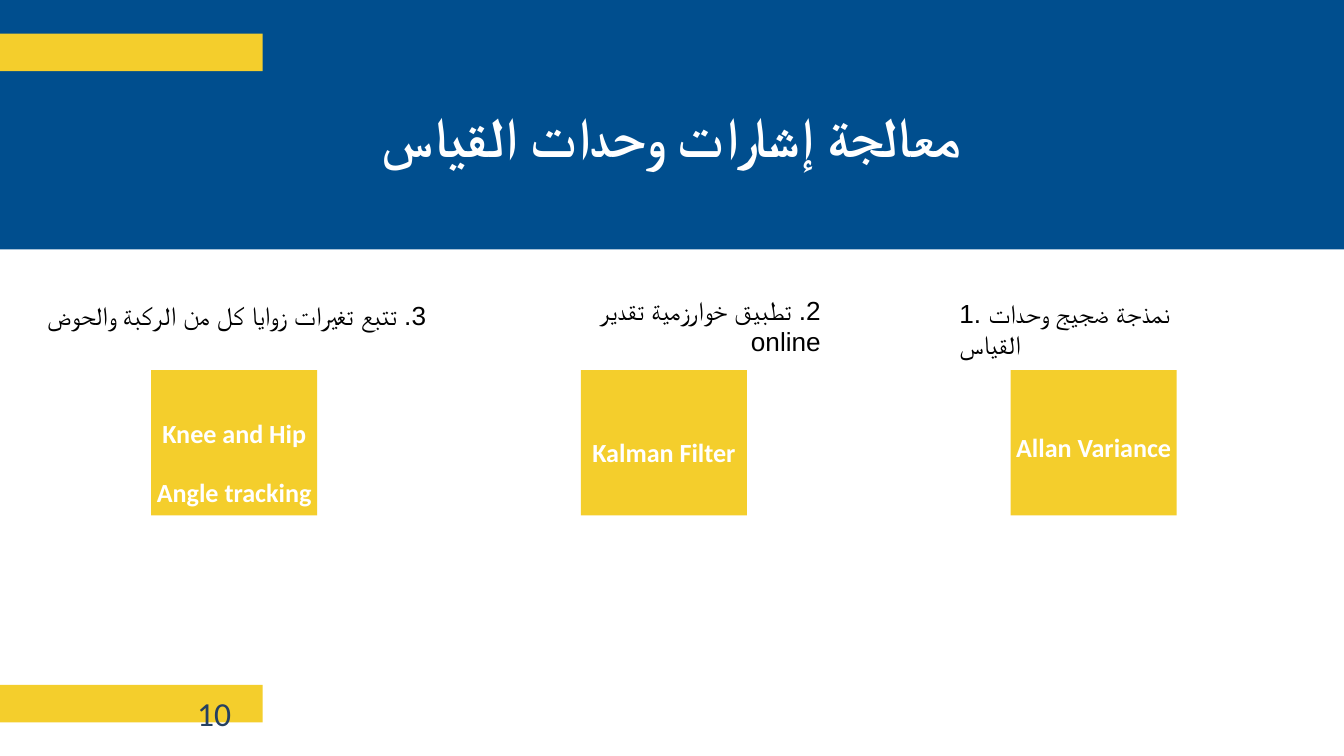
import pptx
import pptx.dml.color
import pptx.enum.shapes
import pptx.enum.text
import pptx.oxml
import pptx.oxml.ns
import pptx.util

Inches = pptx.util.Inches
Align = pptx.enum.text.PP_ALIGN
Anchor = pptx.enum.text.MSO_ANCHOR
RGBColor = pptx.dml.color.RGBColor
BLUE = RGBColor(0x00, 0x4E, 0x8E)
YELLOW = RGBColor(0xF4, 0xCE, 0x2C)
WHITE = RGBColor(0xFF, 0xFF, 0xFF)
BLACK = RGBColor(0x00, 0x00, 0x00)
NAVY = RGBColor(0x25, 0x40, 0x61)

TITLE = "معالجة إشارات وحدات القياس"
PAGE_NUMBER = "10"
STEPS = [
    {"label": "Knee and Hip Angle tracking", "label_height": 2.62,
     "caption": "3. تتبع تغيرات زوايا كل من الركبة والحوض",
     "caption_box": (0.55, 4.41, 5.89, 0.57), "rtl": True},
    {"label": "Kalman Filter", "label_height": 2.3,
     "caption": "2. تطبيق خوارزمية تقدير online",
     "caption_box": (7.69, 4.33, 4.62, 0.57), "rtl": True},
    {"label": "Allan Variance", "label_height": 2.16,
     "caption": "1. نمذجة ضجيج وحدات القياس",
     "caption_box": (14.18, 4.37, 4.2, 0.57), "rtl": False},
]
CARD_LEFT, CARD_TOP, CARD_WIDTH, CARD_HEIGHT = 2.25, 5.51, 2.47, 2.16
CARD_PITCH = 6.395
LABEL_TOP = 5.37
ACCENT_TOPS = (0.5, 10.19)


def add_block(slide, box, color):
    shape = slide.shapes.add_shape(
        pptx.enum.shapes.MSO_SHAPE.RECTANGLE, *map(Inches, box))
    shape.shadow.inherit = False
    shape.fill.solid()
    shape.fill.fore_color.rgb = color
    shape.line.fill.background()
    return shape


def write_text(slide, text, box, size, color, font="Calibri", bold=False,
               align=Align.CENTER, anchor=Anchor.MIDDLE, spacing=1.87,
               margins=(0.06, 0.06), rtl=False, shape=None):
    if shape is None:
        shape = slide.shapes.add_textbox(*map(Inches, box))
    else:
        shape.left, shape.top, shape.width, shape.height = map(Inches, box)
    frame = shape.text_frame
    frame.word_wrap = True
    frame.auto_size = pptx.enum.text.MSO_AUTO_SIZE.NONE
    frame.vertical_anchor = anchor
    frame.margin_left = frame.margin_right = Inches(margins[0])
    frame.margin_top = frame.margin_bottom = Inches(margins[1])
    paragraph = frame.paragraphs[0]
    paragraph.alignment = align
    paragraph.line_spacing = spacing
    if rtl:
        paragraph._p.get_or_add_pPr().set("rtl", "1")
    run = paragraph.add_run()
    run.text = text
    run.font.name = font
    run.font.size = pptx.util.Pt(size)
    run.font.bold = bold
    run.font.color.rgb = color
    complex_font = pptx.oxml.parse_xml(
        f'<a:cs {pptx.oxml.ns.nsdecls("a")} typeface="{font}"/>')
    run.font._element.append(complex_font)
    return shape


def main():
    presentation = pptx.Presentation()
    presentation.slide_width = Inches(20)
    presentation.slide_height = Inches(11.25)
    slide = presentation.slides.add_slide(presentation.slide_layouts[5])

    header = add_block(slide, (0, 0, 20, 3.71), BLUE)
    title = write_text(slide, TITLE, (3.19, 1.55, 13.62, 1), 60, WHITE,
                       font="Roboto Condensed", bold=True, anchor=Anchor.TOP,
                       spacing=0.99, margins=(0, 0), shape=slide.shapes.title)
    title.element.addprevious(header.element)

    for top in ACCENT_TOPS:
        add_block(slide, (0, top, 3.91, 0.56), YELLOW)
    write_text(slide, PAGE_NUMBER, (0.12, 9.99, 3.38, 0.71), 36, NAVY,
               align=Align.RIGHT)

    for index, step in enumerate(STEPS):
        left = CARD_LEFT + index * CARD_PITCH
        add_block(slide, (left, CARD_TOP, CARD_WIDTH, CARD_HEIGHT), YELLOW)
        write_text(slide, step["label"],
                   (left, LABEL_TOP, CARD_WIDTH, step["label_height"]),
                   28, WHITE, bold=True)
        write_text(slide, step["caption"], step["caption_box"], 28, BLACK,
                   font="Arial", anchor=Anchor.TOP, spacing=1.0,
                   align=Align.RIGHT if step["rtl"] else Align.LEFT,
                   margins=(0.1, 0.05), rtl=step["rtl"])

    presentation.save("out.pptx")


if __name__ == "__main__":
    main()
